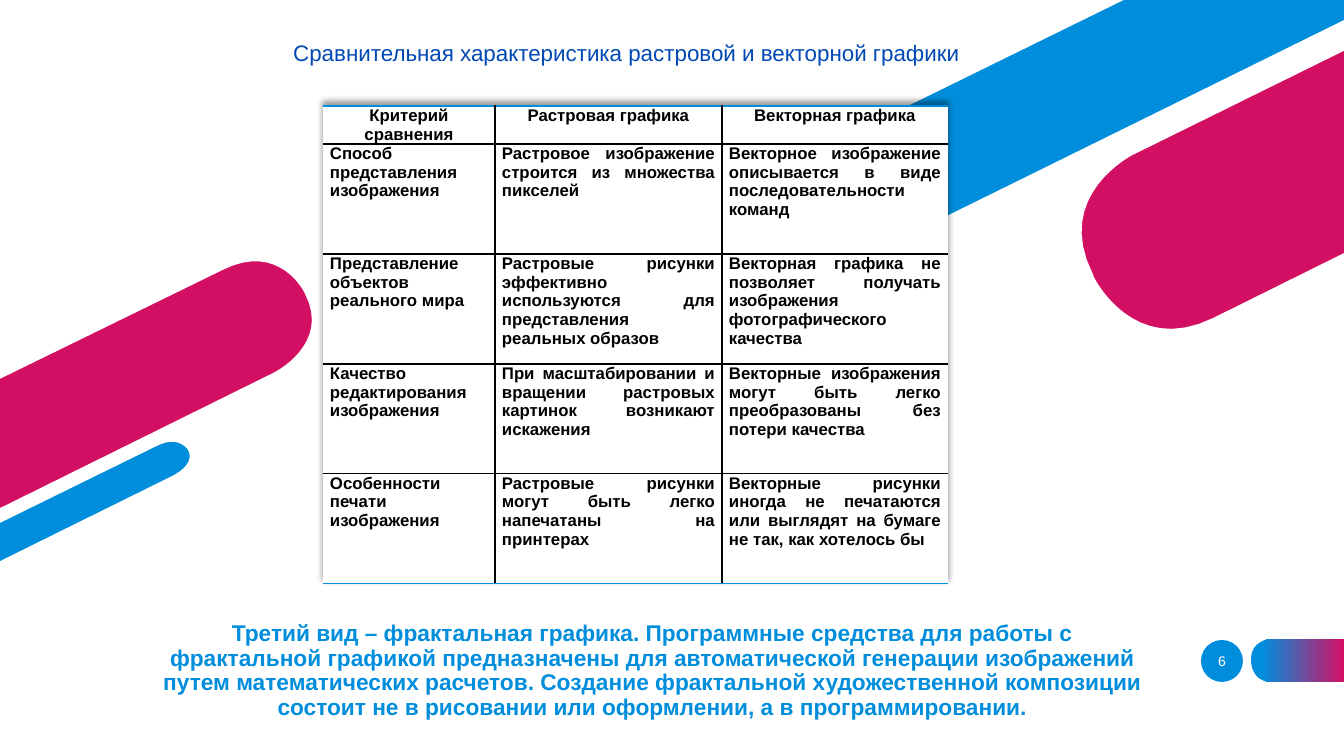
import lxml.etree
import pptx
import pptx.dml.color
import pptx.enum.shapes
import pptx.enum.text
import pptx.oxml
import pptx.oxml.ns
import pptx.util

RGBColor = pptx.dml.color.RGBColor
ALIGN = pptx.enum.text.PP_ALIGN
ANCHOR = pptx.enum.text.MSO_ANCHOR

BLUE = RGBColor(0x00, 0x8E, 0xDC)
PINK = RGBColor(0xD3, 0x0F, 0x64)
NAVY = RGBColor(0x00, 0x48, 0xB3)
BLACK = RGBColor(0, 0, 0)
WHITE = RGBColor(0xFF, 0xFF, 0xFF)

HEADING = "Сравнительная характеристика растровой и векторной графики"
CONCLUSION = (
    "Третий вид – фрактальная графика. Программные средства для работы с "
    "фрактальной графикой предназначены для автоматической генерации изображений "
    "путем математических расчетов. Создание фрактальной художественной композиции "
    "состоит не в рисовании или оформлении, а в программировании."
)
SLIDE_NUMBER = "6"
COMPARISON = [
    ("Критерий сравнения", "Растровая графика", "Векторная графика"),
    ("Способ представления изображения",
     "Растровое изображение строится из множества пикселей",
     "Векторное изображение описывается в виде последовательности команд"),
    ("Представление объектов реального мира",
     "Растровые рисунки эффективно используются для представления реальных образов",
     "Векторная графика не позволяет получать изображения фотографического качества"),
    ("Качество редактирования изображения",
     "При масштабировании и вращении растровых картинок возникают искажения",
     "Векторные изображения могут быть легко преобразованы без потери качества"),
    ("Особенности печати изображения",
     "Растровые рисунки могут быть легко напечатаны на принтерах",
     "Векторные рисунки иногда не печатаются или выглядят на бумаге не так, "
     "как хотелось бы"),
]

# Outlines in px: two numbers are a corner, six are a Bézier curve.
BANDS = [
    (PINK, [(1347, 47), (1132, 153), (1132, 153, 1050, 194, 1091, 275), (1092, 278),
            (1092, 278, 1132, 360, 1214, 320), (1347, 254)]),
    (BLUE, [(1347, -3), (1125, -3), (850, 132), (850, 132, 791, 161, 817, 214),
            (818, 216), (818, 216, 844, 268, 903, 240), (1347, 21)]),
    (PINK, [(306, 291), (306, 291, 280, 239, 222, 268), (-3, 378), (-3, 512),
            (274, 375), (274, 375, 334, 346, 307, 293)]),
    (BLUE, [(190, 449), (190, 449, 180, 432, 156, 444), (-3, 522), (-3, 565),
            (173, 478), (173, 478, 199, 466, 190, 449)]),
]
NUMBER_TAB = [(1272, 682), (1344, 682), (1344, 639), (1272, 639),
              (1272, 639, 1251, 639, 1251, 660), (1251, 661),
              (1251, 661, 1251, 682, 1272, 682)]
CURVE_STEPS = 16

TABLE_LEFT, TABLE_TOP = 323, 106
COLUMN_WIDTHS = [172, 227, 226]
ROW_HEIGHTS = [38] + [110] * 4
NO_STYLE = "{2D5ABB26-0587-4C30-8999-92F81FD0307C}"
TABLE_SHADOW = (
    f'<a:effectLst {pptx.oxml.ns.nsdecls("a")}><a:outerShdw blurRad="50800" dist="38100" '
    'dir="16200000" rotWithShape="0"><a:srgbClr val="000000"><a:alpha val="40000"/>'
    '</a:srgbClr></a:outerShdw></a:effectLst>'
)


def px(length):
    return pptx.util.Emu(round(length * 914400 / 100.8))


def set_text(frame, text, align, spacing=1.0, **font_format):
    frame.text = text
    paragraph = frame.paragraphs[0]
    paragraph.alignment = align
    paragraph.line_spacing = spacing
    color = font_format.pop("color")
    size = font_format.pop("size")
    for name, value in {"name": "Arial", "size": pptx.util.Pt(size), **font_format}.items():
        setattr(paragraph.font, name, value)
    paragraph.font.color.rgb = color
    return paragraph


def flatten(outline):
    """Turn corners and curves into a list of EMU points."""
    points = []
    for step in outline:
        if len(step) == 2:
            points.append(step)
            continue
        x0, y0 = points[-1]
        x1, y1, x2, y2, x3, y3 = step
        for index in range(1, CURVE_STEPS + 1):
            t = index / CURVE_STEPS
            u = 1 - t
            weights = (u ** 3, 3 * u * u * t, 3 * u * t * t, t ** 3)
            points.append(tuple(
                sum(weight * value for weight, value in zip(weights, axis))
                for axis in ((x0, x1, x2, x3), (y0, y1, y2, y3))))
    return [(px(x), px(y)) for x, y in points]


def add_outline(slide, outline):
    points = flatten(outline)
    builder = slide.shapes.build_freeform(*points[0])
    builder.add_line_segments(points[1:], close=True)
    shape = builder.convert_to_shape()
    shape.shadow.inherit = False
    return shape


def add_bands(slide):
    for color, outline in BANDS:
        band = add_outline(slide, outline)
        band.fill.solid()
        band.fill.fore_color.rgb = color
        band.line.color.rgb = WHITE
        band.line.width = pptx.util.Pt(3)


def add_slide_number(slide):
    tab = add_outline(slide, NUMBER_TAB)
    tab.line.fill.background()
    tab.fill.gradient()
    tab.fill.gradient_angle = 0
    for stop, position, color in zip(tab.fill.gradient_stops, (0.12, 1), (BLUE, PINK)):
        stop.position = position
        stop.color.rgb = color
    circle = slide.shapes.add_shape(
        pptx.enum.shapes.MSO_SHAPE.OVAL, px(1201), px(640), px(42), px(42))
    circle.shadow.inherit = False
    circle.fill.solid()
    circle.fill.fore_color.rgb = BLUE
    circle.line.fill.background()
    frame = circle.text_frame
    for side in ("left", "top", "right", "bottom"):
        setattr(frame, f"margin_{side}", 0)
    frame.vertical_anchor = ANCHOR.MIDDLE
    set_text(frame, SLIDE_NUMBER, ALIGN.CENTER, size=10, color=WHITE)


def set_borders(cell, borders):
    """Put border lines, given as tag and colour, before the cell's fill."""
    properties = cell._tc.get_or_add_tcPr()
    for position, (tag, color) in enumerate(borders):
        properties.insert(position, pptx.oxml.parse_xml(
            f'<a:{tag} {pptx.oxml.ns.nsdecls("a")} w="12700"><a:solidFill>'
            f'<a:srgbClr val="{color}"/></a:solidFill></a:{tag}>'))


def add_comparison(slide):
    last_row, last_column = len(ROW_HEIGHTS) - 1, len(COLUMN_WIDTHS) - 1
    table = slide.shapes.add_table(
        last_row + 1, last_column + 1, px(TABLE_LEFT), px(TABLE_TOP),
        px(sum(COLUMN_WIDTHS)), px(sum(ROW_HEIGHTS))).table
    table.horz_banding = False
    properties = table._tbl.tblPr
    properties.find(pptx.oxml.ns.qn("a:tableStyleId")).text = NO_STYLE
    properties.insert(0, pptx.oxml.parse_xml(TABLE_SHADOW))
    for column, width in zip(table.columns, COLUMN_WIDTHS):
        column.width = px(width)
    for row, height in zip(table.rows, ROW_HEIGHTS):
        row.height = px(height)
    for i, texts in enumerate(COMPARISON):
        for j, text in enumerate(texts):
            cell = table.cell(i, j)
            for name, value in {"left": 7, "right": 7, "top": 0, "bottom": 0}.items():
                setattr(cell, f"margin_{name}", px(value))
            cell.fill.solid()
            cell.fill.fore_color.rgb = WHITE
            align = ALIGN.JUSTIFY if i else ALIGN.CENTER
            set_text(cell.text_frame, text, align, size=12, color=BLACK, bold=True)
            borders = [("lnL", BLACK)] if j else []
            borders += [("lnR", BLACK)] if j < last_column else []
            borders += [("lnT", BLACK if i else BLUE),
                        ("lnB", BLACK if i < last_row else BLUE)]
            set_borders(cell, borders)


def add_heading(slide):
    box = slide.shapes.add_textbox(px(229), px(34), px(746), px(37))
    box.text_frame.word_wrap = False
    box.text_frame.vertical_anchor = ANCHOR.MIDDLE
    paragraph = set_text(box.text_frame, HEADING, ALIGN.CENTER, size=16, color=NAVY)
    paragraph._p.get_or_add_pPr().set("indent", str(px(49)))


def place_conclusion(title):
    for name, value in {"left": 151, "top": 617, "width": 1002, "height": 94}.items():
        setattr(title, name, px(value))
    frame = title.text_frame
    frame.word_wrap = True
    frame.auto_size = pptx.enum.text.MSO_AUTO_SIZE.NONE
    frame.vertical_anchor = ANCHOR.TOP
    set_text(frame, CONCLUSION, ALIGN.CENTER, 0.9, size=16.2, color=BLUE, bold=True)


def main():
    presentation = pptx.Presentation()
    presentation.slide_width, presentation.slide_height = px(1344), px(756)
    slide = presentation.slides.add_slide(presentation.slide_layouts[5])
    add_bands(slide)
    add_slide_number(slide)
    place_conclusion(slide.shapes.title)
    add_comparison(slide)
    add_heading(slide)
    presentation.save("out.pptx")


if __name__ == "__main__":
    main()
